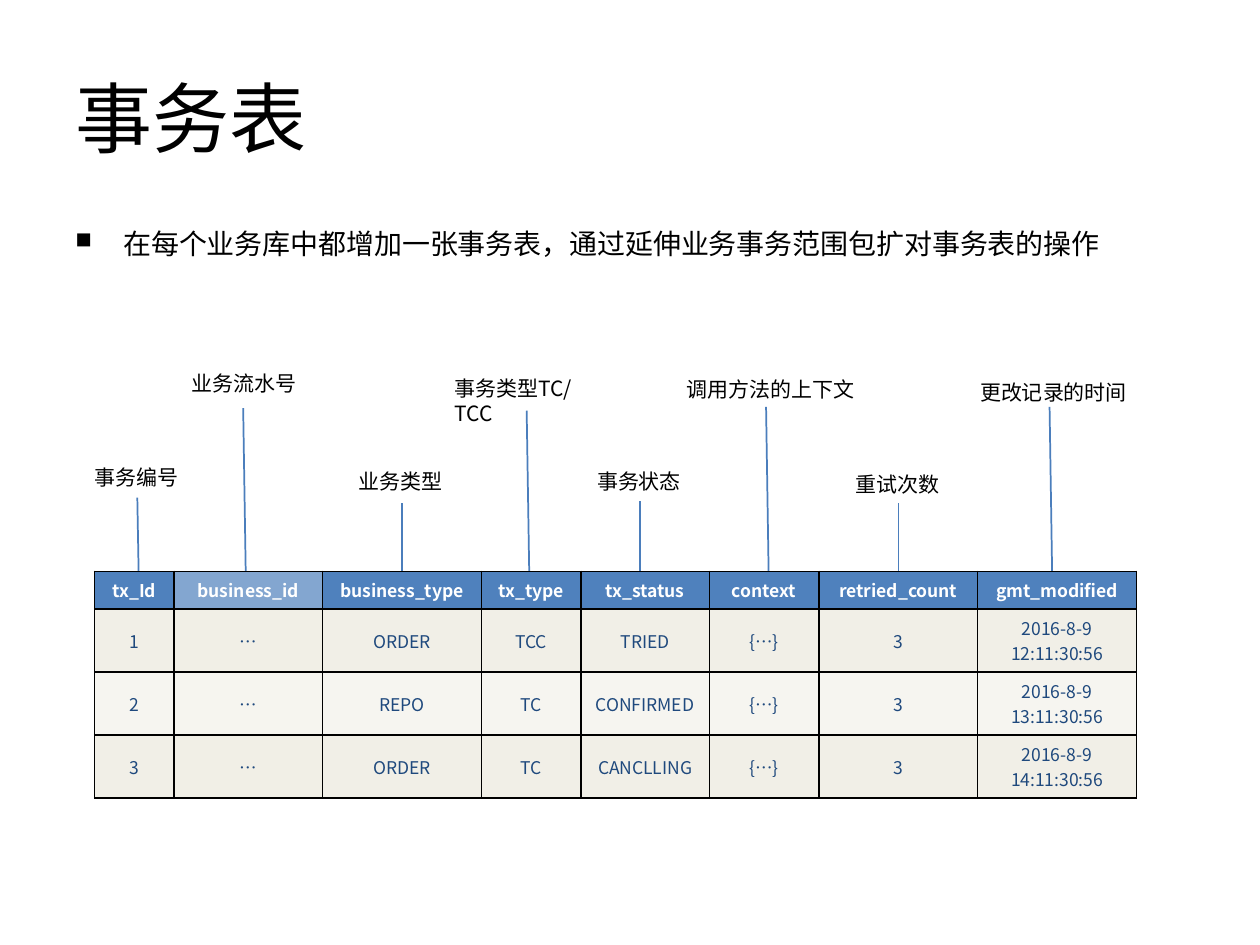
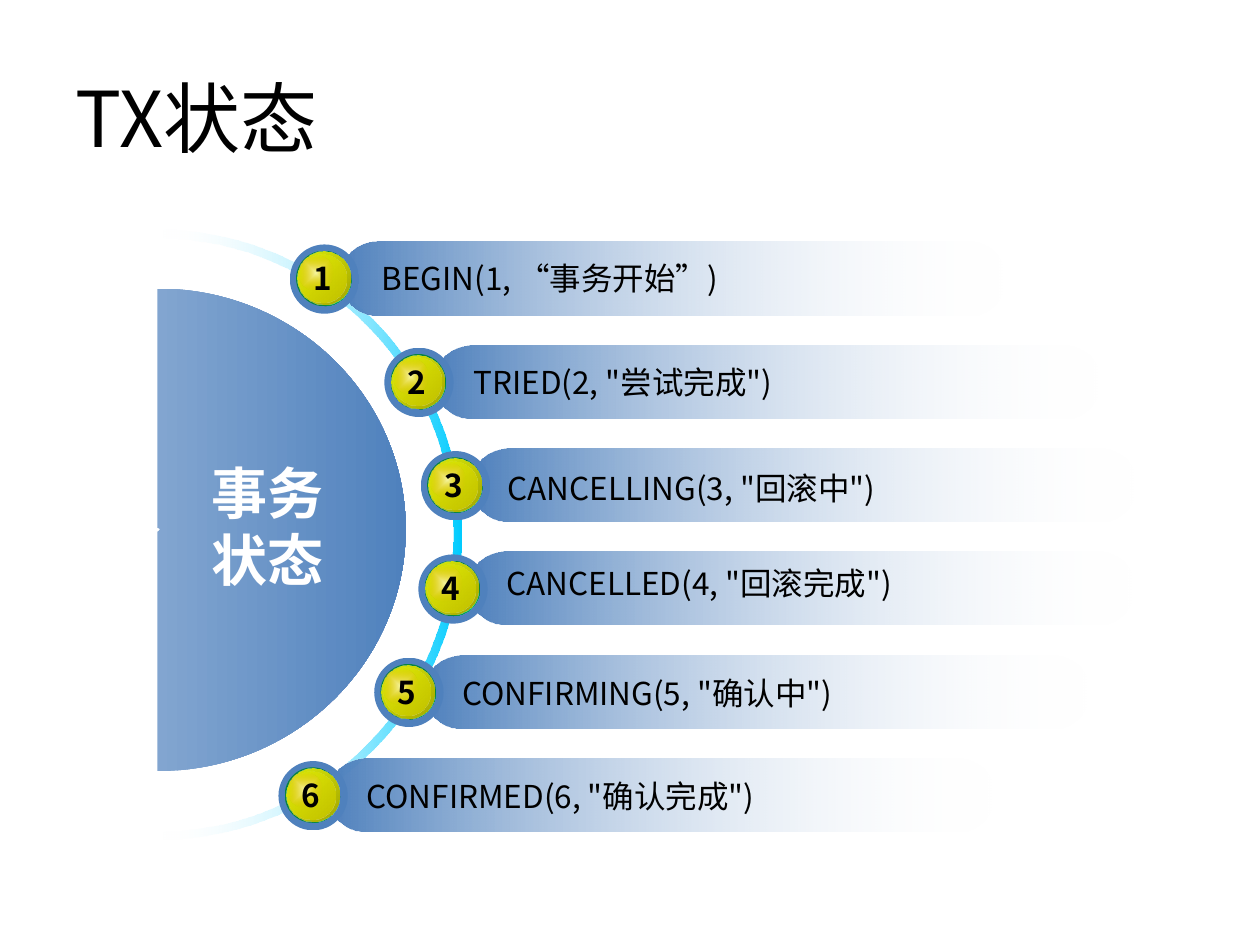
"""Build two slides: the transaction table and the TX states."""
from pptx import Presentation
from pptx.dml.color import RGBColor
from pptx.enum.shapes import MSO_CONNECTOR, MSO_SHAPE
from pptx.enum.text import MSO_ANCHOR, PP_ALIGN
from pptx.oxml import parse_xml
from pptx.oxml.ns import nsdecls, qn
from pptx.util import Inches, Pt

LEFT, CENTER, RIGHT = PP_ALIGN.LEFT, PP_ALIGN.CENTER, PP_ALIGN.RIGHT
MIDDLE = MSO_ANCHOR.MIDDLE
STRAIGHT = MSO_CONNECTOR.STRAIGHT
OVAL, ROUNDED = MSO_SHAPE.OVAL, MSO_SHAPE.ROUNDED_RECTANGLE
FONT = "Noto Sans CJK SC"
NS = nsdecls("a")
COLORS = {
    "black": "000000", "white": "FFFFFF", "blue": "4F81BD", "pale_blue": "82A5D0",
    "line": "4B7EBC", "navy": "1F497D", "sand": "EEECE1", "cyan": "00CCFF",
    "green": "10E470", "dark_green": "098340", "yellow": "FFFF00",
    "olive": "A2A200", "lime": "C2C200", "orange": "E9940B",
}


def write(tf, lines, size, color="black", bold=False, align=LEFT, wrap=True):
    tf.word_wrap = wrap
    for i, line in enumerate(lines):
        p = tf.paragraphs[0] if i == 0 else tf.add_paragraph()
        p.alignment = align
        r = p.add_run()
        r.text = line
        r.font.size = Pt(size)
        r.font.bold = bold
        r.font.name = FONT
        r.font.color.rgb = RGBColor.from_string(COLORS[color])
        r._r.get_or_add_rPr().append(parse_xml(f'<a:ea {NS} typeface="{FONT}"/>'))


def paint(sp, stops, direction='<a:lin ang="0" scaled="0"/>'):
    sp.shadow.inherit = False
    sp.line.fill.background()
    sp.fill.gradient()
    gs = "".join(
        f'<a:gs pos="{pos * 1000}"><a:srgbClr val="{COLORS[color]}">'
        f'<a:alpha val="{alpha * 1000}"/></a:srgbClr></a:gs>'
        for pos, color, alpha in stops)
    old = sp._element.spPr.find(qn("a:gradFill"))
    new = parse_xml(f'<a:gradFill {NS} rotWithShape="1"><a:gsLst>{gs}</a:gsLst>{direction}</a:gradFill>')
    old.getparent().replace(old, new)


prs = Presentation()
prs.slide_width, prs.slide_height = Inches(10), Inches(7.5)
slides = []
for title in ("事务表", "TX状态"):
    s = prs.slides.add_slide(prs.slide_layouts[6])
    tf = s.shapes.add_textbox(Inches(0.5), Inches(0.3), Inches(9), Inches(1.25)).text_frame
    tf.vertical_anchor = MIDDLE
    write(tf, [title], 44)
    slides.append(s)

s = slides[0]
tf = s.shapes.add_textbox(Inches(0.5), Inches(1.75), Inches(9), Inches(1.1)).text_frame
write(tf, ["在每个业务库中都增加一张事务表，通过延伸业务事务范围包扩对事务表的操作"], 16)
pPr = tf.paragraphs[0]._p.get_or_add_pPr()
pPr.set("marL", str(Inches(0.38)))
pPr.set("indent", str(Inches(-0.38)))
pPr.append(parse_xml(f'<a:buSzPct {NS} val="80000"/>'))
pPr.append(parse_xml(f'<a:buChar {NS} char="■"/>'))

rows = [
    ["tx_Id", "business_id", "business_type", "tx_type", "tx_status", "context",
     "retried_count", "gmt_modified"],
    ["1", "…", "ORDER", "TCC", "TRIED", "{…}", "3", "2016-8-9 12:11:30:56"],
    ["2", "…", "REPO", "TC", "CONFIRMED", "{…}", "3", "2016-8-9 13:11:30:56"],
    ["3", "…", "ORDER", "TC", "CANCLLING", "{…}", "3", "2016-8-9 14:11:30:56"],
]
col_widths = [0.63, 1.18, 1.26, 0.79, 1.02, 0.87, 1.26, 1.26]
row_heights = [0.3, 0.5, 0.5, 0.5]
table = s.shapes.add_table(len(rows), len(col_widths), Inches(0.75), Inches(4.535),
                           Inches(sum(col_widths)), Inches(sum(row_heights))).table
for col, width in zip(table.columns, col_widths):
    col.width = Inches(width)
for i, row in enumerate(rows):
    table.rows[i].height = Inches(row_heights[i])
    for j, value in enumerate(row):
        cell = table.cell(i, j)
        cell.vertical_anchor = MIDDLE
        header = i == 0
        write(cell.text_frame, [value], 10, "white" if header else "navy", header, CENTER)
        cell.fill.solid()
        cell.fill.fore_color.rgb = RGBColor.from_string(COLORS["blue" if header else "sand"])
        if header:
            alpha = 70 if j == 1 else 100
        else:
            alpha = (48 if i == 2 else 80) + (2 if j == 1 else 0)
        tcPr = cell._tc.get_or_add_tcPr()
        tcPr.find(".//" + qn("a:srgbClr")).append(parse_xml(f'<a:alpha {NS} val="{alpha * 1000}"/>'))
        for k, side in enumerate("LRTB"):
            tcPr.insert(k, parse_xml(
                f'<a:ln{side} {NS} w="12700"><a:solidFill><a:srgbClr val="{COLORS["black"]}"/>'
                f'</a:solidFill></a:ln{side}>'))

labels = [
    ("事务编号", 0.65, 3.64, 0.88, 1.09, 3.95, 1.1),
    ("业务流水号", 1.42, 2.89, 1.06, 1.93, 3.24, 1.95),
    ("业务类型", 2.75, 3.67, 0.88, 3.19, 3.99, 3.19),
    ("事务类型TC/TCC", 3.51, 2.93, 1.4, 4.18, 3.26, 4.2),
    ("事务状态", 4.64, 3.67, 0.88, 5.08, 3.98, 5.08),
    ("调用方法的上下文", 5.35, 2.94, 1.55, 6.08, 3.23, 6.1),
    ("重试次数", 6.69, 3.69, 0.89, 7.13, 3.99, 7.13),
    ("更改记录的时间", 7.68, 2.96, 1.38, 8.33, 3.23, 8.35),
]
for text, left, top, width, line_x, line_y, foot_x in labels:
    line = s.shapes.add_connector(STRAIGHT, Inches(foot_x), Inches(4.53), Inches(line_x), Inches(line_y))
    line.line.color.rgb = RGBColor.from_string(COLORS["line"])
    line.line.width = Pt(1)
    line._element.spPr.append(parse_xml(f"<a:effectLst {NS}/>"))
    tf = s.shapes.add_textbox(Inches(left), Inches(top), Inches(width), Inches(0.3)).text_frame
    write(tf, [text], 12, wrap="TCC" in text)

s = slides[1]
half_disc = [
    [(1.25, 4.19)],
    [(1.26, 4.19), (1.27, 4.2), (1.27, 4.2)],
    [(1.27, 4.21), (1.26, 4.21), (1.25, 4.22)],
    [(1.25, 6.12)],
    [(2.34, 6.12), (3.22, 5.26), (3.22, 4.2)],
    [(3.22, 3.15), (2.34, 2.29), (1.25, 2.29)],
]
ring = [
    [(1.28, 1.89)],
    [(2.56, 1.91), (3.59, 2.96), (3.59, 4.24)],
    [(3.59, 5.53), (2.56, 6.57), (1.28, 6.59)],
    [(1.28, 6.66)],
    [(2.6, 6.64), (3.66, 5.56), (3.66, 4.24)],
    [(3.66, 2.92), (2.6, 1.84), (1.28, 1.82)],
]
outlines = [
    (half_disc, [(0, "pale_blue", 100), (100, "blue", 100)]),
    (ring, [(0, "white", 0), (100, "cyan", 100)]),
]
for segments, stops in outlines:
    points = [(Inches(x), Inches(y)) for segment in segments for x, y in segment]
    builder = s.shapes.build_freeform(*points[0])
    builder.add_line_segments(points[1:])
    sp = builder.convert_to_shape()
    steps = iter(sp._element.spPr.findall(".//" + qn("a:lnTo")))
    for segment in segments[1:]:
        group = [next(steps) for _ in segment]
        if len(group) == 3:
            curve = parse_xml(f"<a:cubicBezTo {NS}/>")
            group[0].addprevious(curve)
            for step in group:
                curve.append(step[0])
                step.getparent().remove(step)
    paint(sp, stops)

tf = s.shapes.add_textbox(Inches(1.57), Inches(3.59), Inches(1.1), Inches(1.18)).text_frame
write(tf, ["事务", "状态"], 32, "white", True, RIGHT, False)

diagonal = '<a:lin ang="2700000" scaled="0"/>'
corner = '<a:path path="rect"><a:fillToRect l="100000" t="100000"/></a:path>'
middle = '<a:path path="shape"><a:fillToRect l="50000" t="50000" r="50000" b="50000"/></a:path>'
badge = [
    (-0.4, 0.02, 0.55, [(0, "blue", 100), (100, "blue", 100)], diagonal),
    (-0.35, 0.07, 0.44, [(0, "green", 100), (100, "dark_green", 100)], corner),
    (-0.34, 0.08, 0.42, [(0, "yellow", 85), (100, "olive", 100)], diagonal),
    (-0.33, 0.11, 0.28, [(0, "white", 100), (100, "orange", 0)], middle),
    (-0.33, 0.1, 0.38, [(0, "yellow", 0), (100, "lime", 100)], diagonal),
]
states = [
    ("BEGIN(1, “事务开始”)", 2.7, 0.23, 0.09),
    ('TRIED(2, "尝试完成")', 3.45, 0.21, 0.09),
    ('CANCELLING(3, "回滚中")', 3.74, 0.19, 0.11),
    ('CANCELLED(4, "回滚完成")', 3.72, 0.2, 0.05),
    ('CONFIRMING(5, "确认中")', 3.37, 0.2, 0.1),
    ('CONFIRMED(6, "确认完成")', 2.61, 0.2, 0.1),
]
for i, (text, x, text_dx, text_dy) in enumerate(states):
    y = 1.92 + 0.82 * i
    shapes = s.shapes.add_group_shape().shapes
    bar = shapes.add_shape(ROUNDED, Inches(x), Inches(y), Inches(5.28), Inches(0.58))
    bar.adjustments[0] = 0.5
    paint(bar, [(0, "blue", 100), (100, "white", 0)])
    for dx, dy, size, stops, direction in badge:
        sp = shapes.add_shape(OVAL, Inches(x + dx), Inches(y + dy), Inches(size), Inches(size))
        paint(sp, stops, direction)
    tf = shapes.add_textbox(Inches(x - 0.32), Inches(y + 0.09), Inches(0.36), Inches(0.4)).text_frame
    write(tf, [str(i + 1)], 18, bold=True, align=CENTER, wrap=False)
    tf = shapes.add_textbox(Inches(x + text_dx), Inches(y + text_dy), Inches(4.08), Inches(0.4)).text_frame
    write(tf, [text], 18)

prs.save("out.pptx")
